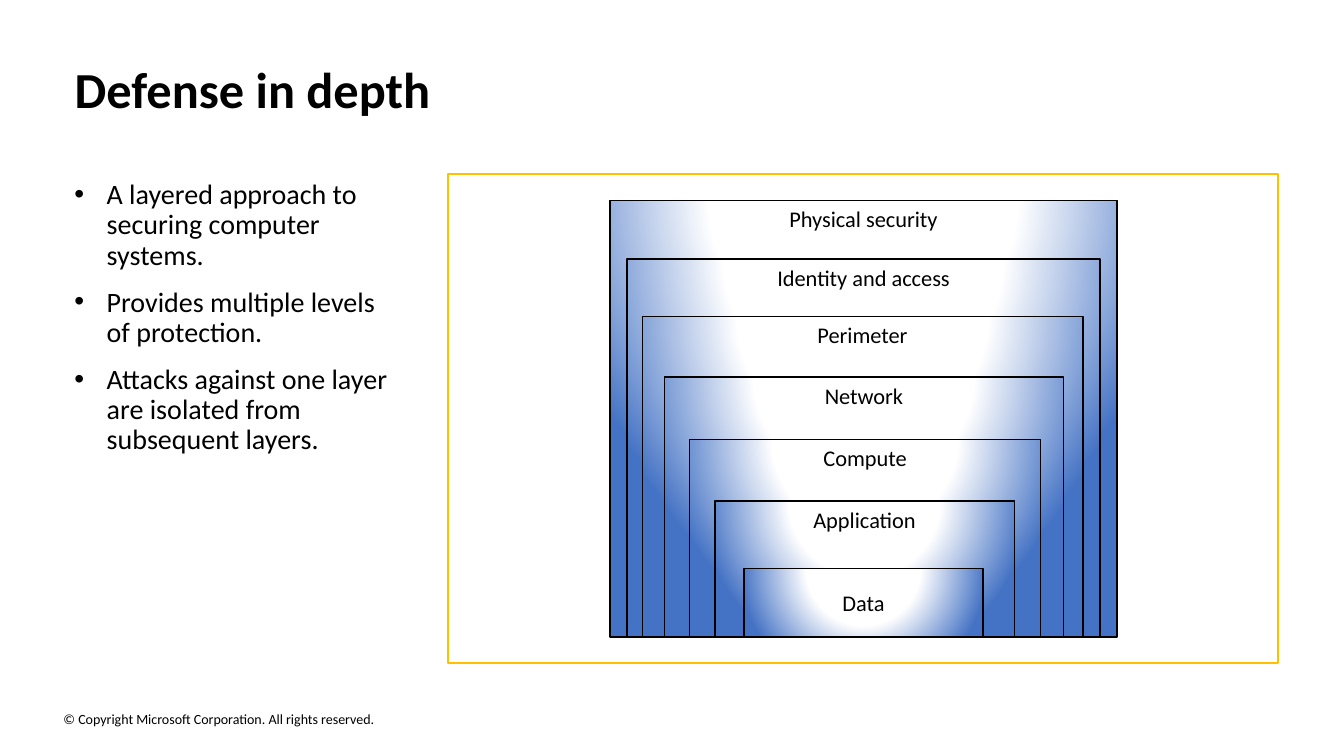
from dataclasses import dataclass

from lxml import etree
from pptx import Presentation
from pptx import util as u
from pptx.dml.color import RGBColor
from pptx.enum import shapes, text
from pptx.oxml import parse_xml
from pptx.oxml.ns import nsdecls, qn

COLORS = {"ink": "000000", "glow": "FFFFFF", "depth": "4472C4", "border": "FFC000"}
FONT = "Calibri"
LAYERS_BOTTOM = 6.32
GLOW_STOPS = ((0, "glow"), (46, "glow"), (100, "depth"))


@dataclass(frozen=True)
class Layer:
    label: str
    left: float
    top: float
    width: float
    anchor: text.MSO_ANCHOR = text.MSO_ANCHOR.TOP


LAYERS = (
    Layer("Physical security", 6.05, 1.99, 5.03),
    Layer("Identity and access", 6.22, 2.57, 4.69),
    Layer("Perimeter", 6.37, 3.14, 4.37),
    Layer("Network", 6.59, 3.74, 3.96),
    Layer("Compute", 6.84, 4.36, 3.48),
    Layer("Application", 7.09, 4.97, 2.97),
    Layer("Data", 7.38, 5.64, 2.37, text.MSO_ANCHOR.MIDDLE),
)

BENEFITS = (
    "A layered approach to securing computer systems.",
    "Provides multiple levels of protection.",
    "Attacks against one layer are isolated from subsequent layers.",
)


def rgb(name: str) -> RGBColor:
    return RGBColor.from_string(COLORS[name])


def box(left: float, top: float, width: float, height: float) -> tuple:
    return tuple(u.Inches(length) for length in (left, top, width, height))


def add_bullet(paragraph, indent: float) -> None:
    properties = paragraph._p.get_or_add_pPr()
    properties.set("marL", str(u.Inches(indent)))
    properties.set("indent", str(u.Inches(-indent)))
    etree.SubElement(properties, qn("a:buFont")).set("typeface", "Arial")
    etree.SubElement(properties, qn("a:buChar")).set("char", "•")


def write_text(shape, *lines: str, size: float, bold: bool = False,
               align=text.PP_ALIGN.LEFT, anchor=text.MSO_ANCHOR.TOP,
               spacing: float = 1.0, after: float = 0,
               bullet_indent: float = 0, inset: tuple = (0.1, 0.05)) -> None:
    frame = shape.text_frame
    frame.word_wrap = True
    frame.auto_size = text.MSO_AUTO_SIZE.NONE
    frame.vertical_anchor = anchor
    frame.margin_left = frame.margin_right = u.Inches(inset[0])
    frame.margin_top = frame.margin_bottom = u.Inches(inset[1])
    for number, line in enumerate(lines):
        paragraph = frame.add_paragraph() if number else frame.paragraphs[0]
        paragraph.text = line
        if bullet_indent:
            add_bullet(paragraph, bullet_indent)
        paragraph.alignment = align
        paragraph.line_spacing = spacing
        paragraph.space_after = u.Pt(after)
        font = paragraph.font
        font.name, font.size, font.bold = FONT, u.Pt(size), bold
        font.color.rgb = rgb("ink")


def add_rectangle(slide, place: tuple, line: str, weight: float):
    rectangle = slide.shapes.add_shape(shapes.MSO_SHAPE.RECTANGLE, *place)
    rectangle.shadow.inherit = False
    rectangle.fill.background()
    rectangle.line.color.rgb = rgb(line)
    rectangle.line.width = u.Pt(weight)
    return rectangle


def apply_glow(shape) -> None:
    stops = "".join(
        f'<a:gs pos="{position * 1000}"><a:srgbClr val="{COLORS[color]}"/></a:gs>'
        for position, color in GLOW_STOPS
    )
    gradient = parse_xml(
        f'<a:gradFill {nsdecls("a")} rotWithShape="1"><a:gsLst>{stops}</a:gsLst>'
        '<a:path path="circle">'
        '<a:fillToRect l="50000" t="-80000" r="50000" b="180000"/>'
        "</a:path></a:gradFill>"
    )
    properties = shape._element.spPr
    properties.replace(properties.find(qn("a:noFill")), gradient)


def draw_layer(slide, layer: Layer) -> None:
    place = box(layer.left, layer.top, layer.width, LAYERS_BOTTOM - layer.top)
    rectangle = add_rectangle(slide, place, "ink", 1)
    apply_glow(rectangle)
    write_text(rectangle, layer.label, size=16,
               align=text.PP_ALIGN.CENTER, anchor=layer.anchor)


def main() -> None:
    deck = Presentation()
    deck.slide_width, deck.slide_height = u.Inches(13.33), u.Inches(7.5)
    slide = deck.slides.add_slide(deck.slide_layouts[5])

    title = slide.shapes.title
    title.left, title.top, title.width, title.height = box(0.64, 0.64, 12.08, 0.54)
    write_text(title, "Defense in depth", size=36, bold=True,
               anchor=text.MSO_ANCHOR.MIDDLE, spacing=0.9)

    benefits = slide.shapes.add_textbox(*box(0.64, 1.74, 3.47, 3.03))
    write_text(benefits, *BENEFITS, size=20, spacing=0.9, after=12, bullet_indent=0.32)

    for layer in LAYERS:
        draw_layer(slide, layer)
    add_rectangle(slide, box(4.44, 1.73, 8.24, 4.85), "border", 1.5)

    copyright_line = slide.shapes.add_textbox(*box(0.63, 7.02, 4.54, 0.22))
    write_text(copyright_line, "© Copyright Microsoft Corporation. All rights reserved.",
               size=10, anchor=text.MSO_ANCHOR.MIDDLE, inset=(0, 0))

    deck.save("out.pptx")


if __name__ == "__main__":
    main()
